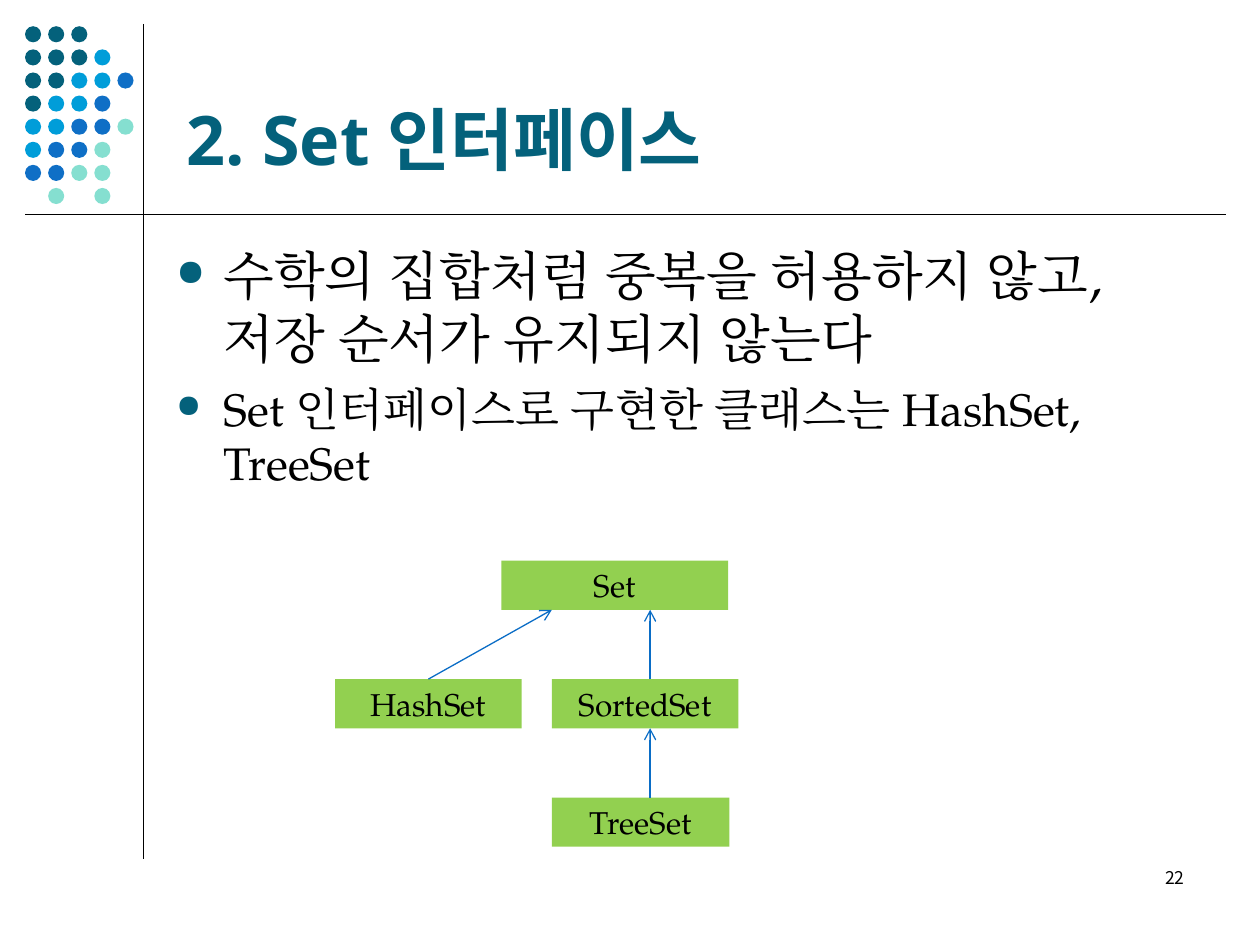
import pptx
import pptx.dml.color
import pptx.enum.shapes
import pptx.enum.text
import pptx.oxml
import pptx.oxml.ns
import pptx.util

Pt = pptx.util.Pt
RGBColor = pptx.dml.color.RGBColor
SHAPES = pptx.enum.shapes.MSO_SHAPE
ALIGN = pptx.enum.text.PP_ALIGN
ANCHOR = pptx.enum.text.MSO_ANCHOR

BLACK = RGBColor(0x00, 0x00, 0x00)
TEAL = RGBColor(0x04, 0x61, 0x7B)
SKY = RGBColor(0x00, 0x9D, 0xD9)
BLUE = RGBColor(0x0F, 0x6F, 0xC6)
MINT = RGBColor(0x85, 0xDF, 0xD0)
GREEN = RGBColor(0x92, 0xD0, 0x50)
ARROW_BLUE = RGBColor(0x0A, 0x6D, 0xC6)

DOT_COLORS = {"T": TEAL, "S": SKY, "B": BLUE, "M": MINT}
DOT_ROWS = ["TTT", "TTTS", "TTSSB", "TSSB", "SSBBM", "SBBM", "BBMM", " M M"]
DOT_SIZE = 9.2
DOT_PITCH = 13.2

TITLE_FORMAT = {"name": "Open Sans", "size": Pt(39), "bold": True}
BODY_FORMAT = {"name": "TeX Gyre Pagella", "size": Pt(30)}
DETAIL_FORMAT = {"name": "TeX Gyre Pagella", "size": Pt(26)}
NUMBER_FORMAT = {"name": "Noto Sans CJK KR", "size": Pt(10)}
BOX_FORMAT = {"name": "TeX Gyre Pagella", "size": Pt(18)}

BOX_HEIGHT = 28.08
CLASS_BOXES = {
    "Set": (286.56, 320.4, 129.6),
    "HashSet": (191.52, 388.08, 106.56),
    "SortedSet": (315.36, 388.08, 106.56),
    "TreeSet": (315.36, 455.76, 101.52),
}


def append_element(parent, tag, **attributes):
    element = pptx.oxml.parse_xml(f"<a:{tag} {pptx.oxml.ns.nsdecls('a')}/>")
    for name, value in attributes.items():
        element.set(name, str(value))
    parent.append(element)
    return element


def add_run(paragraph, text, formats, color=BLACK):
    run = paragraph.add_run()
    run.text = text
    for name, value in formats.items():
        setattr(run.font, name, value)
    run.font.color.rgb = color
    append_element(run._r.get_or_add_rPr(), "ea", typeface=formats["name"])


def add_text_box(slide, left, top, width, height, anchor=ANCHOR.TOP):
    text_box = slide.shapes.add_textbox(Pt(left), Pt(top), Pt(width), Pt(height))
    text_box.text_frame.word_wrap = True
    text_box.text_frame.vertical_anchor = anchor
    return text_box.text_frame


def add_bullet(paragraph, text, formats, space_before):
    paragraph.space_before = Pt(space_before)
    properties = paragraph._p.get_or_add_pPr()
    properties.set("marL", str(Pt(27)))
    properties.set("indent", str(-Pt(27)))
    color = append_element(properties, "buClr")
    append_element(color, "srgbClr", val=TEAL)
    append_element(properties, "buSzPct", val=70000)
    append_element(properties, "buChar", char="●")
    add_run(paragraph, text, formats)


def add_filled_shape(slide, kind, left, top, width, height, color):
    shape = slide.shapes.add_shape(kind, Pt(left), Pt(top), Pt(width), Pt(height))
    shape.shadow.inherit = False
    shape.fill.solid()
    shape.fill.fore_color.rgb = color
    shape.line.fill.background()
    return shape


def add_dots(slide):
    for row, letters in enumerate(DOT_ROWS):
        for column, letter in enumerate(letters):
            if letter in DOT_COLORS:
                add_filled_shape(
                    slide, SHAPES.OVAL, 14.3 + column * DOT_PITCH,
                    15 + row * DOT_PITCH, DOT_SIZE, DOT_SIZE, DOT_COLORS[letter],
                )


def add_class_box(slide, name, left, top, width):
    shape = add_filled_shape(slide, SHAPES.RECTANGLE, left, top, width, BOX_HEIGHT, GREEN)
    frame = shape.text_frame
    frame.vertical_anchor = ANCHOR.MIDDLE
    frame.word_wrap = True
    frame.paragraphs[0].alignment = ALIGN.CENTER
    add_run(frame.paragraphs[0], name, BOX_FORMAT)
    return shape


def add_line(slide, start, end, color=BLACK):
    line = slide.shapes.add_connector(
        pptx.enum.shapes.MSO_CONNECTOR.STRAIGHT,
        Pt(start[0]), Pt(start[1]), Pt(end[0]), Pt(end[1]),
    )
    line.line.color.rgb = color
    line.line.width = Pt(0.75)
    append_element(line._element.spPr, "effectLst")
    return line


def add_arrow(slide, start, end):
    arrow = add_line(slide, start, end, ARROW_BLUE)
    append_element(arrow.line._get_or_add_ln(), "tailEnd", type="arrow")
    return arrow


def add_class_diagram(slide):
    boxes = {name: add_class_box(slide, name, *place) for name, place in CLASS_BOXES.items()}
    set_bottom = CLASS_BOXES["Set"][1] + BOX_HEIGHT
    sorted_top = CLASS_BOXES["SortedSet"][1]
    tree_top = CLASS_BOXES["TreeSet"][1]
    arrow = add_arrow(slide, (244.8, sorted_top), (315.36, set_bottom))
    arrow.begin_connect(boxes["HashSet"], 0)
    add_arrow(slide, (371.52, sorted_top), (371.52, set_bottom))
    add_arrow(slide, (371.52, tree_top), (371.52, sorted_top + BOX_HEIGHT))


def main():
    presentation = pptx.Presentation()
    presentation.slide_width = Pt(720)
    presentation.slide_height = Pt(540)
    slide = presentation.slides.add_slide(presentation.slide_layouts[6])

    add_line(slide, (82.1, 13.7), (82.1, 491))
    add_dots(slide)
    add_line(slide, (14.4, 122.4), (700.6, 122.4))

    title = add_text_box(slide, 99.4, 15.1, 594, 90.7, ANCHOR.BOTTOM)
    add_run(title.paragraphs[0], "2. Set 인터페이스", TITLE_FORMAT, TEAL)

    body = add_text_box(slide, 93.6, 135.4, 590.4, 347)
    body.margin_right = Pt(12)
    add_bullet(body.paragraphs[0],
               "수학의 집합처럼 중복을 허용하지 않고, 저장 순서가 유지되지 않는다", BODY_FORMAT, 7.5)
    add_bullet(body.add_paragraph(),
               "Set 인터페이스로 구현한 클래스는 HashSet, TreeSet", DETAIL_FORMAT, 6.5)

    number = add_text_box(slide, 516.2, 491.8, 167.8, 36)
    number.paragraphs[0].alignment = ALIGN.RIGHT
    add_run(number.paragraphs[0], "22", NUMBER_FORMAT)

    add_class_diagram(slide)
    presentation.save("out.pptx")


if __name__ == "__main__":
    main()
